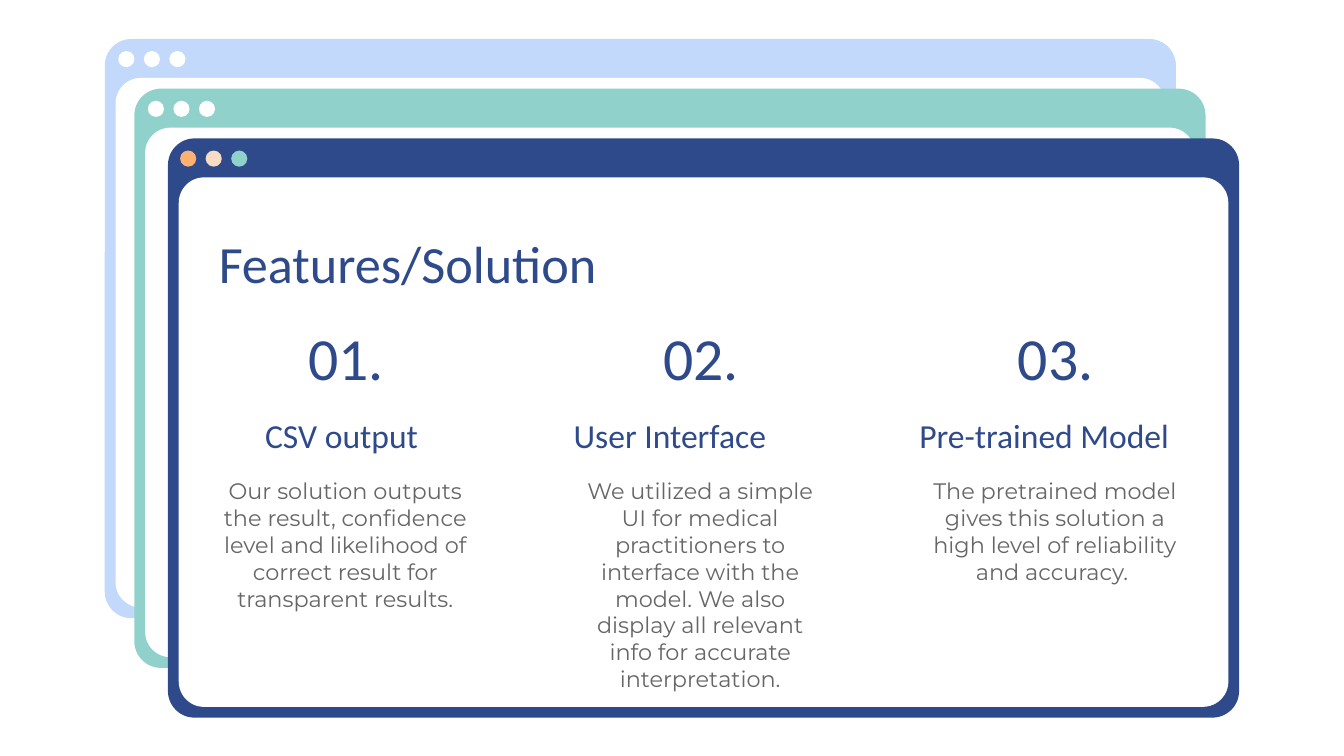
from dataclasses import dataclass

import pptx
import pptx.dml.color
import pptx.enum.shapes
import pptx.enum.text
import pptx.shapes.autoshape
import pptx.slide
import pptx.util

Inches = pptx.util.Inches
MSO_SHAPE = pptx.enum.shapes.MSO_SHAPE
PP_ALIGN = pptx.enum.text.PP_ALIGN

WHITE = "FFFFFF"
NAVY = "2F4A8A"
TEAL = "90D1CB"
GRAY = "666666"

DOT_SIZE = 0.12
DOT_PITCH = 0.19
COLUMN_LEFT = 1.53
COLUMN_PITCH = 2.64
COLUMN_WIDTH = 2.08


@dataclass
class Window:
    left: float
    top: float
    color: str
    dot_colors: tuple[str, ...] = (WHITE, WHITE, WHITE)
    dot_inset: float = 0.1


@dataclass
class Feature:
    heading: str
    description: str
    heading_left: float
    heading_width: float = COLUMN_WIDTH
    heading_align: PP_ALIGN = PP_ALIGN.CENTER
    description_height: float = 1.42


WINDOWS = [
    Window(0.78, 0.29, "C3D9FB"),
    Window(1, 0.66, TEAL),
    Window(1.25, 1.03, NAVY, ("FFB172", "F8DBC4", TEAL), 0.09),
]

FEATURES = [
    Feature(
        "CSV output ",
        "Our solution outputs the result, confidence level and likelihood of "
        "correct result for transparent results.",
        1.53,
    ),
    Feature(
        "User Interface",
        "We utilized a simple UI for medical practitioners to interface with the "
        "model. We also display all relevant info for accurate interpretation.",
        4.17,
        heading_align=PP_ALIGN.LEFT,
    ),
    Feature(
        "Pre-trained Model",
        "The pretrained model gives this solution a high level of reliability "
        "and accuracy. ",
        6.47,
        heading_width=2.6,
        description_height=1.72,
    ),
]


def rgb(color: str) -> pptx.dml.color.RGBColor:
    return pptx.dml.color.RGBColor.from_string(color)


def add_filled_shape(
    slide: pptx.slide.Slide, kind: MSO_SHAPE, left: float, top: float,
    width: float, height: float, color: str,
) -> pptx.shapes.autoshape.Shape:
    shape = slide.shapes.add_shape(
        kind, Inches(left), Inches(top), Inches(width), Inches(height)
    )
    shape.shadow.inherit = False
    shape.fill.solid()
    shape.fill.fore_color.rgb = rgb(color)
    shape.line.fill.background()
    return shape


def add_window(slide: pptx.slide.Slide, window: Window) -> None:
    frame = add_filled_shape(
        slide, MSO_SHAPE.ROUNDED_RECTANGLE,
        window.left, window.top, 7.97, 4.31, window.color,
    )
    frame.adjustments[0] = 0.046
    pane = add_filled_shape(
        slide, MSO_SHAPE.ROUNDED_RECTANGLE,
        window.left + 0.08, window.top + 0.29, 7.81, 3.94, WHITE,
    )
    pane.adjustments[0] = 0.048
    for index, color in enumerate(window.dot_colors):
        add_filled_shape(
            slide, MSO_SHAPE.OVAL,
            window.left + window.dot_inset + index * DOT_PITCH,
            window.top + 0.09, DOT_SIZE, DOT_SIZE, color,
        )


def add_text(
    slide: pptx.slide.Slide, text: str, left: float, top: float,
    width: float, height: float, size: float,
    align: PP_ALIGN = PP_ALIGN.CENTER,
    font: str = "Calibri", color: str = NAVY, space_after: float = 0,
) -> None:
    text_box = slide.shapes.add_textbox(
        Inches(left), Inches(top), Inches(width), Inches(height)
    )
    frame = text_box.text_frame
    frame.word_wrap = True
    frame.vertical_anchor = pptx.enum.text.MSO_ANCHOR.TOP
    frame.margin_left = frame.margin_right = Inches(0.1)
    frame.margin_top = frame.margin_bottom = Inches(0.1)
    paragraph = frame.paragraphs[0]
    paragraph.text = text
    paragraph.alignment = align
    paragraph.space_after = pptx.util.Pt(space_after)
    paragraph.font.name = font
    paragraph.font.size = pptx.util.Pt(size)
    paragraph.font.color.rgb = rgb(color)


def add_feature(slide: pptx.slide.Slide, index: int, feature: Feature) -> None:
    left = COLUMN_LEFT + index * COLUMN_PITCH
    add_text(slide, f"{index + 1:02}.", left + 0.55, 2.29, 0.99, 0.64, 32)
    add_text(
        slide, feature.heading, feature.heading_left, 2.99,
        feature.heading_width, 0.51, 18, feature.heading_align,
    )
    add_text(
        slide, feature.description, left, 3.45, COLUMN_WIDTH,
        feature.description_height, 12,
        font="Montserrat", color=GRAY, space_after=12,
    )


def main() -> None:
    presentation = pptx.Presentation()
    presentation.slide_width = Inches(10)
    presentation.slide_height = Inches(10 * 9 / 16)
    slide = presentation.slides.add_slide(presentation.slide_layouts[6])
    for window in WINDOWS:
        add_window(slide, window)
    add_text(
        slide, "Features/Solution", COLUMN_LEFT, 1.62, 7.44, 0.51, 28, PP_ALIGN.LEFT
    )
    for index, feature in enumerate(FEATURES):
        add_feature(slide, index, feature)
    presentation.save("out.pptx")


if __name__ == "__main__":
    main()
